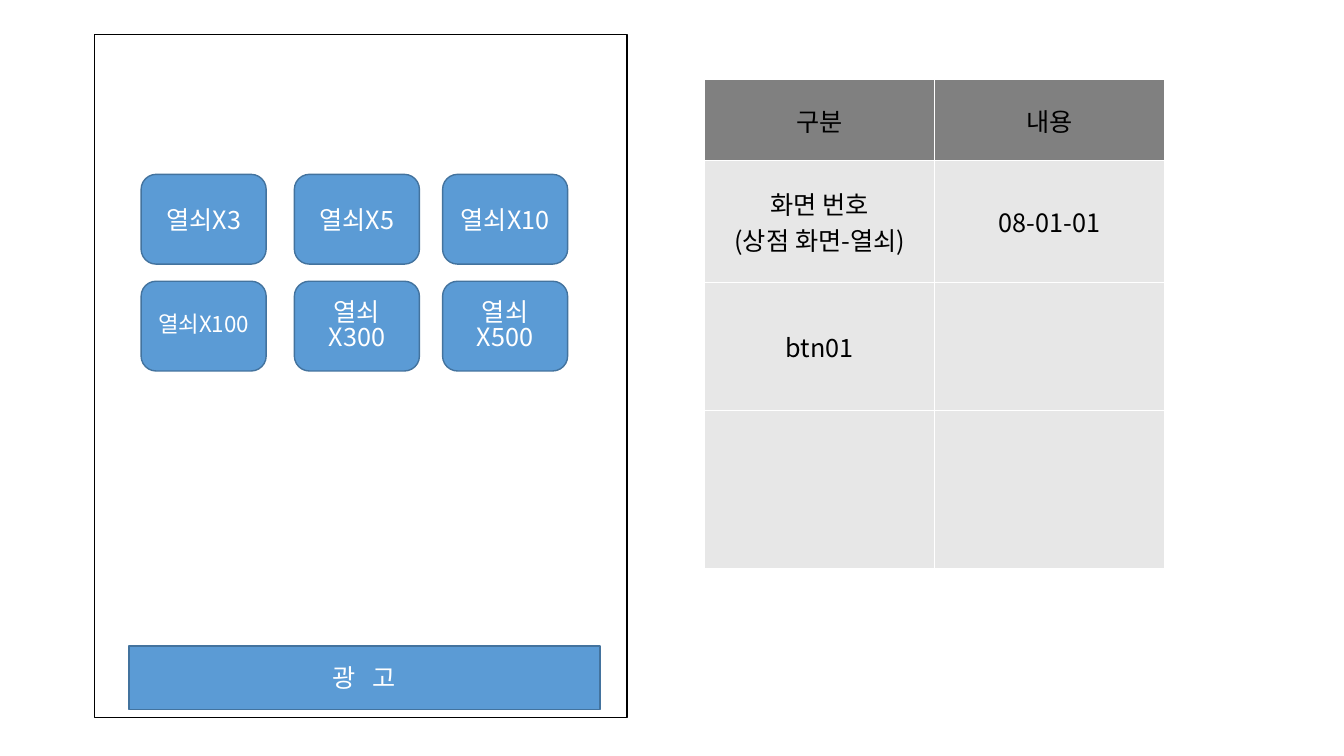
from dataclasses import dataclass

from lxml import etree
from pptx import Presentation
from pptx.dml.color import RGBColor
from pptx.enum.shapes import MSO_SHAPE
from pptx.enum.text import MSO_ANCHOR, PP_ALIGN
from pptx.oxml.ns import qn
from pptx.util import Inches, Pt

RECT, ROUNDED = MSO_SHAPE.RECTANGLE, MSO_SHAPE.ROUNDED_RECTANGLE
MIDDLE, CENTER = MSO_ANCHOR.MIDDLE, PP_ALIGN.CENTER


@dataclass(frozen=True)
class Theme:
    font: str = "Noto Sans CJK KR"
    body: int = 18
    small: int = 16
    line: int = 1
    white: str = "FFFFFF"
    black: str = "000000"
    button: str = "5B9BD5"
    button_edge: str = "43739E"
    header: str = "808080"
    cell: str = "E7E7E7"


class Wireframe:
    def __init__(self, slide, theme):
        self.slide = slide
        self.theme = theme

    def label(self, frame, text, color, size=None, spacing=1.0, tracking=0):
        """Fill a text frame with one centred paragraph; tracking is in points."""
        paragraph = frame.paragraphs[0]
        paragraph.text = text
        paragraph.alignment = CENTER
        paragraph.line_spacing = spacing
        values = {"size": Pt(size or self.theme.body), "name": self.theme.font}
        for run in paragraph.runs:
            for name, value in values.items():
                setattr(run.font, name, value)
            run.font.color.rgb = RGBColor.from_string(color)
            properties = run._r.get_or_add_rPr()
            etree.SubElement(properties, qn("a:ea"), typeface=self.theme.font)
            if tracking:
                properties.set("spc", str(tracking * 100))

    def box(self, kind, at, fill, edge, text="", **text_format):
        shape = self.slide.shapes.add_shape(kind, *map(Inches, at))
        shape.shadow.inherit = False
        shape.fill.solid()
        shape.fill.fore_color.rgb = RGBColor.from_string(fill)
        shape.line.color.rgb = RGBColor.from_string(edge)
        shape.line.width = Pt(self.theme.line)
        if text:
            shape.text_frame.word_wrap = True
            shape.text_frame.vertical_anchor = MIDDLE
            self.label(shape.text_frame, text, self.theme.white, **text_format)

    def button(self, kind, at, text, **text_format):
        self.box(kind, at, self.theme.button, self.theme.button_edge, text, **text_format)

    def border(self, cell):
        properties = cell._tc.get_or_add_tcPr()
        for position, side in enumerate(("lnL", "lnR", "lnT", "lnB")):
            line = etree.Element(qn(f"a:{side}"), w=str(Pt(self.theme.line)))
            solid = etree.SubElement(line, qn("a:solidFill"))
            etree.SubElement(solid, qn("a:srgbClr"), val=self.theme.white)
            properties.insert(position, line)

    def table(self, left, top, widths, heights, rows):
        area = map(Inches, (left, top, sum(widths), sum(heights)))
        table = self.slide.shapes.add_table(len(heights), len(widths), *area).table
        for column, width in zip(table.columns, widths):
            column.width = Inches(width)
        for row, height in zip(table.rows, heights):
            row.height = Inches(height)
        for r, texts in enumerate(rows):
            for c, text in enumerate(texts):
                cell = table.cell(r, c)
                cell.vertical_anchor = MIDDLE
                cell.fill.solid()
                fill = self.theme.cell if r else self.theme.header
                cell.fill.fore_color.rgb = RGBColor.from_string(fill)
                self.border(cell)
                if text:
                    self.label(cell.text_frame, text, self.theme.black)


def main():
    theme = Theme()
    presentation = Presentation()
    presentation.slide_width = Inches(13.33)
    presentation.slide_height = Inches(7.5)
    blank = presentation.slide_layouts[6]
    shop = Wireframe(presentation.slides.add_slide(blank), theme)

    shop.box(RECT, (0.94, 0.34, 5.28, 6.78), theme.white, theme.black)
    shop.table(6.99, 0.79, (2.28, 2.28), (0.8, 1.21, 1.27, 1.57), (
        ("구분", "내용"),
        ("화면 번호\v(상점 화면-열쇠)", "08-01-01"),
        ("btn01", ""),
        ("", ""),
    ))
    shop.button(RECT, (1.28, 6.41, 4.67, 0.63), "광 고", tracking=4)

    key_lefts = (1.4, 2.92, 4.39)
    key_rows = ((1.73, 1.0, (3, 5, 10)), (2.79, 0.83, (100, 300, 500)))
    for top, spacing, amounts in key_rows:
        for left, amount in zip(key_lefts, amounts):
            size = theme.small if amount == 100 else theme.body
            shop.button(ROUNDED, (left, top, 1.24, 0.89), f"열쇠X{amount}",
                        size=size, spacing=spacing)

    presentation.save("out.pptx")


if __name__ == "__main__":
    main()
